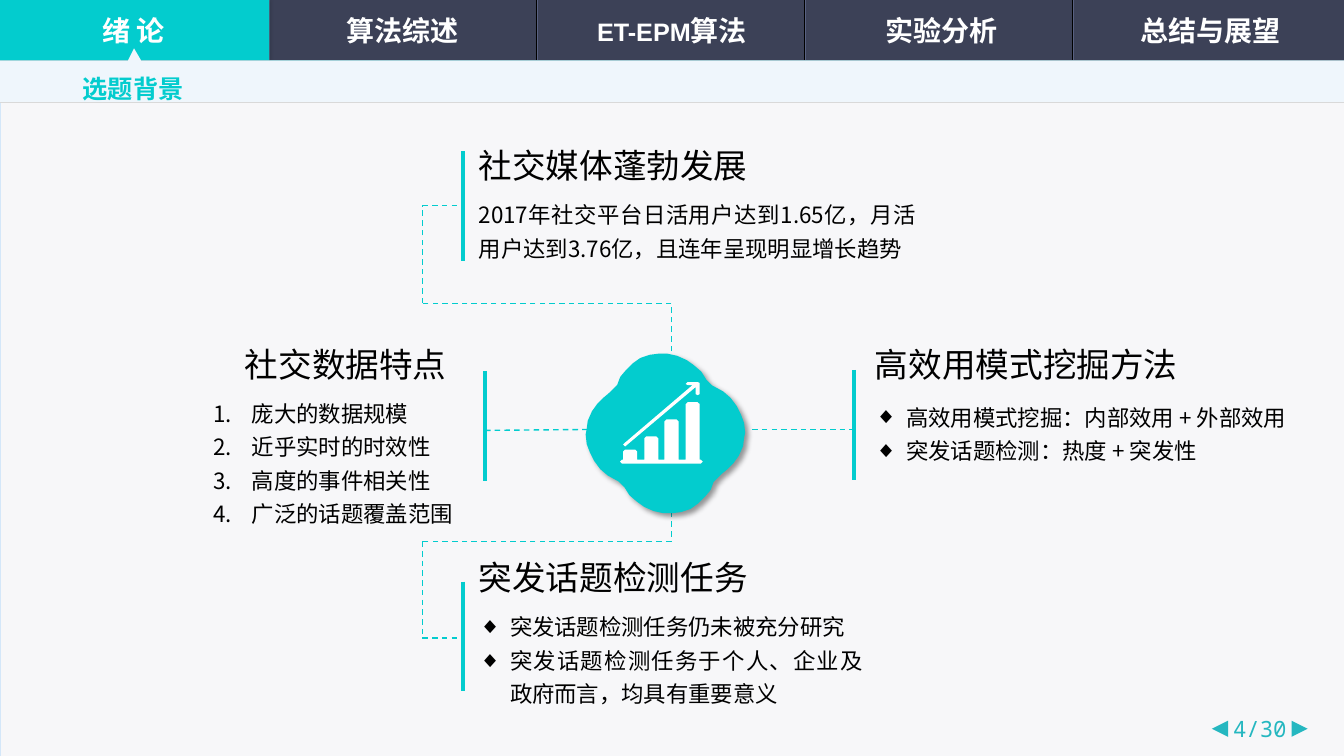
import math
from dataclasses import dataclass
from typing import Optional

from lxml import etree
from pptx import Presentation
from pptx.dml.color import RGBColor
from pptx.enum import dml, shapes, text
from pptx.oxml.ns import qn
from pptx.util import Inches, Pt


@dataclass(frozen=True)
class Theme:
    cyan: str = "03CCCE"
    slate: str = "3B445B"
    nav: str = "3C4157"
    groove: str = "596181"
    panel: str = "F7F7F9"
    panel_edge: str = "D4E7F9"
    strip: str = "EFF6FC"
    rule: str = "D9D9D9"
    pager: str = "25B7C0"
    white: str = "FFFFFF"
    black: str = "000000"
    cjk: str = "Noto Sans CJK SC"
    latin: str = "Arial"
    mono: str = "Noto Sans Mono"
    title: float = 24
    tab: float = 20
    section: float = 18
    body: float = 16


@dataclass(frozen=True)
class Style:
    size: float
    color: str
    font: str
    bold: bool = False


@dataclass(frozen=True)
class Topic:
    title: str
    title_box: tuple
    items: tuple
    body_box: tuple
    bar: tuple
    bullet: Optional[str] = None
    justified: bool = True


T = Theme()
TAB = Style(T.tab, T.white, T.cjk, True)
TAB_LATIN = Style(T.section, T.white, T.latin, True)
SECTION = Style(T.section, T.cyan, T.latin, True)
PAGER = Style(T.body, T.pager, T.mono)
TITLE = Style(T.title, T.black, T.cjk)
BODY = Style(T.body, T.black, T.cjk)
PADDED = dict(margin_left=Inches(0.13), margin_right=Inches(0.13),
              margin_top=Inches(0.07), margin_bottom=Inches(0.07))
CENTER = dict(alignment=text.PP_ALIGN.CENTER)
FIT = dict(auto_size=text.MSO_AUTO_SIZE.SHAPE_TO_FIT_TEXT)
MIDDLE = dict(vertical_anchor=text.MSO_ANCHOR.MIDDLE)

TABS = ((("绪 论", TAB),), (("算法综述", TAB),), (("ET-EPM", TAB_LATIN), ("算法", TAB)),
        (("实验分析", TAB),), (("总结与展望", TAB),))
TOPICS = (
    Topic("高效用模式挖掘方法", (8.58, 3.36, 3.44, 0.5),
          ("高效用模式挖掘：内部效用 + 外部效用", "突发话题检测：热度 + 突发性"),
          (8.58, 3.89, 4.54, 0.77), (8.47, 3.67), "◆"),
    Topic("社交媒体蓬勃发展", (4.65, 1.39, 3.04, 0.5),
          ("2017年社交平台日活用户达到1.65亿，月活用户达到3.76亿，且连年呈现明显增长趋势",),
          (4.65, 1.88, 4.53, 0.77), (4.59, 1.5)),
    Topic("突发话题检测任务", (4.65, 5.48, 2.91, 0.5),
          ("突发话题检测任务仍未被充分研究", "突发话题检测任务于个人、企业及政府而言，均具有重要意义"),
          (4.65, 5.97, 4.01, 1.11), (4.59, 5.77), "◆"),
    Topic("社交数据特点", (2.33, 3.36, 2.41, 0.5),
          ("庞大的数据规模", "近乎实时的时效性", "高度的事件相关性", "广泛的话题覆盖范围"),
          (2.02, 3.85, 2.73, 1.45), (4.81, 3.68), "1.", False),
)
HUB = (6.6, 4.3)
HUB_TURN = 310.2
HALF_CLOUD = (
    (6.99, 3.78), (6.94, 3.7), (6.87, 3.64), (6.8, 3.59), (6.71, 3.55), (6.62, 3.53),
    (6.53, 3.53), (6.45, 3.54), (6.36, 3.57), (6.29, 3.62), (6.22, 3.69), (6.17, 3.75),
    (6.14, 3.83), (6.06, 3.91), (6, 3.96), (5.94, 4.02), (5.89, 4.09), (5.85, 4.18),
    (5.84, 4.26), (5.83, 4.31), (5.84, 4.4), (5.87, 4.48), (5.91, 4.56), (5.97, 4.64),
    (6.04, 4.7), (6.15, 4.76))
BARS = ((6.18, 4.46), (6.39, 4.33), (6.59, 4.16), (6.8, 3.99))
GROWTH_ARROW = (
    (6.2, 4.43), (6.9, 3.84), (6.9, 3.91), (6.92, 3.92), (6.94, 3.91), (6.94, 3.8),
    (6.92, 3.79), (6.82, 3.79), (6.8, 3.81), (6.82, 3.82), (6.87, 3.82), (6.19, 4.4),
    (6.18, 4.41))


def assign(obj, values: dict) -> None:
    for name, value in values.items():
        setattr(obj, name, value)


def paint(sp, fill: Optional[str] = None, edge: Optional[str] = None, width: float = 0.5):
    sp.shadow.inherit = False
    for part, color in ((sp.fill, fill), (sp.line.fill, edge)):
        if color:
            part.solid()
            part.fore_color.rgb = RGBColor.from_string(color)
        else:
            part.background()
    if edge:
        sp.line.width = Pt(width)
    return sp


def cast_shadow(sp, alpha: int, blur: float, dist: float, angle: int) -> None:
    effects = sp._element.spPr.find(qn("a:effectLst"))
    shadow = etree.SubElement(effects, qn("a:outerShdw"), blurRad=str(Pt(blur)), dist=str(Pt(dist)),
                              dir=str(angle * 60000), algn="ctr", rotWithShape="0")
    color = etree.SubElement(shadow, qn("a:srgbClr"), val=T.black)
    etree.SubElement(color, qn("a:alpha"), val=str(alpha * 1000))


def shape(s, kind, box: tuple, fill: Optional[str] = None, edge: Optional[str] = None):
    return paint(s.shapes.add_shape(kind, *map(Inches, box)), fill, edge)


def line(s, start: tuple, end: tuple, color: str, width: float, dashed: bool = False) -> None:
    c = s.shapes.add_connector(shapes.MSO_CONNECTOR.STRAIGHT, *map(Inches, start + end))
    c.line.color.rgb = RGBColor.from_string(color)
    c.line.width = Pt(width)
    if dashed:
        c.line.dash_style = dml.MSO_LINE.DASH
    etree.SubElement(c._element.spPr, qn("a:effectLst"))


def outline(owner, points, fill: str, edge: Optional[str] = None, width: float = 0.5):
    first, *rest = [(Inches(x), Inches(y)) for x, y in points]
    builder = owner.shapes.build_freeform(*first)
    builder.add_line_segments(rest, close=True)
    return paint(builder.convert_to_shape(), fill, edge, width)


def add_bullet(p, mark: str, indent: float) -> None:
    pPr = p._p.get_or_add_pPr()
    pPr.set("marL", str(Inches(indent)))
    pPr.set("indent", str(-Inches(indent)))
    if mark == "1.":
        etree.SubElement(pPr, qn("a:buFont"), typeface=T.cjk)
        etree.SubElement(pPr, qn("a:buAutoNum"), type="arabicPeriod")
    else:
        etree.SubElement(pPr, qn("a:buFont"), typeface=T.latin)
        etree.SubElement(pPr, qn("a:buChar"), char=mark)


def write(sp, paragraphs, frame: dict, layout: dict, mark: Optional[str] = None,
          indent: float = 0.31) -> None:
    tf = sp.text_frame
    assign(tf, {"word_wrap": True, **frame})
    for i, runs in enumerate(paragraphs):
        p = tf.add_paragraph() if i else tf.paragraphs[0]
        if mark:
            add_bullet(p, mark, indent)
        assign(p, layout)
        for words, style in runs:
            r = p.add_run()
            r.text = words
            assign(r.font, dict(size=Pt(style.size), bold=style.bold, name=style.font))
            r.font.color.rgb = RGBColor.from_string(style.color)
            etree.SubElement(r._r.get_or_add_rPr(), qn("a:ea"), typeface=T.cjk)


def textbox(s, box: tuple, *args, **kwargs) -> None:
    write(s.shapes.add_textbox(*map(Inches, box)), *args, **kwargs)


def draw_navigation(s) -> None:
    rect = shapes.MSO_SHAPE.RECTANGLE
    shape(s, rect, (0, 0, 13.33, 0.6), T.nav)
    for i in range(1, len(TABS)):
        x = 2.66 * i
        line(s, (x, 0), (x, 0.6), T.black, 0.5)
        line(s, (x + 0.01, 0), (x + 0.01, 0.6), T.groove, 0.75)
    shape(s, rect, (0, 1.02, 13.33, 6.48), T.panel, T.panel_edge)
    cast_shadow(shape(s, rect, (0, 0, 2.67, 0.6), T.cyan), 20, 3, 0, 270)
    outline(s, ((1.33, 0.48), (1.4, 0.6), (13.33, 0.6), (13.33, 1.02), (0, 1.02),
                (0, 0.6), (1.27, 0.6)), T.strip)
    line(s, (0, 1.02), (13.33, 1.02), T.rule, 0.5)
    for i, runs in enumerate(TABS):
        tab = shape(s, shapes.MSO_SHAPE.ROUNDED_RECTANGLE, (2.67 * i, 0.1, 2.65, 0.41))
        tab.adjustments[0] = 0
        write(tab, [runs], {**PADDED, **MIDDLE}, CENTER)
    textbox(s, (12.07, 7.02, 0.85, 0.4), [[("4/30", PAGER)]],
            {**PADDED, **FIT, "word_wrap": False}, CENTER)
    for x, turn in ((12.81, 90), (12.02, 270)):
        shape(s, shapes.MSO_SHAPE.ISOSCELES_TRIANGLE, (x, 7.15, 0.16, 0.16), T.pager).rotation = turn
    textbox(s, (0.68, 0.53, 1.28, 0.54), [[("选题背景", SECTION)]],
            {**PADDED, **FIT, **MIDDLE, "word_wrap": False}, {**CENTER, "line_spacing": 1.5})


def draw_topic(s, topic: Topic) -> None:
    x, y = topic.bar
    line(s, (x, y), (x, y + 1.09), T.cyan, 3)
    textbox(s, topic.title_box, [[(topic.title, TITLE)]], FIT, {})
    align = text.PP_ALIGN.JUSTIFY if topic.justified else text.PP_ALIGN.LEFT
    textbox(s, topic.body_box, [[(item, BODY)] for item in topic.items], FIT,
            dict(alignment=align, line_spacing=1.25), topic.bullet, 0.31 if topic.justified else 0.38)


def draw_links(s) -> None:
    links = [((4.81, 4.27), (5.91, 4.26)), ((7.46, 4.26), (8.47, 4.26))]
    for turn_y, bar_y, hub_y in ((3.01, 2.04, 3.68), (5.37, 6.33, 4.69)):
        corners = ((6.66, hub_y), (6.66, turn_y), (4.19, turn_y), (4.19, bar_y), (4.59, bar_y))
        links += zip(corners, corners[1:])
    for start, end in links:
        line(s, start, end, T.cyan, 1, True)


def draw_hub(s) -> None:
    cx, cy = HUB
    cos, sin = math.cos(math.radians(-HUB_TURN)), math.sin(math.radians(-HUB_TURN))
    offsets = [(x - cx, y - cy) for x, y in HALF_CLOUD]
    offsets += [(-dx, -dy) for dx, dy in offsets]
    upright = [(cx + dx * cos - dy * sin, cy + dx * sin + dy * cos) for dx, dy in offsets]
    cloud = outline(s, upright, T.cyan, T.cyan, 3)
    cloud.rotation = HUB_TURN
    cast_shadow(cloud, 40, 4, 3, 45)
    icon = s.shapes.add_group_shape()
    chart = [(6.15, 4.58), (6.17, 4.56)]
    for x, top in BARS:
        chart += [(x, 4.56), (x, top + 0.02), (x + 0.02, top), (x + 0.12, top),
                  (x + 0.14, top + 0.02), (x + 0.14, 4.56)]
    chart += [(6.95, 4.56), (6.97, 4.58), (6.95, 4.6), (6.17, 4.6)]
    for points in (chart, GROWTH_ARROW):
        outline(icon, points, T.white)


def main() -> None:
    prs = Presentation()
    assign(prs, dict(slide_width=Inches(13.33), slide_height=Inches(7.5)))
    s = prs.slides.add_slide(prs.slide_layouts[6])
    fill = s.background.fill
    fill.gradient()
    fill.gradient_angle = 315
    for stop, color in zip(fill.gradient_stops, (T.cyan, T.slate)):
        stop.color.rgb = RGBColor.from_string(color)
    draw_navigation(s)
    draw_links(s)
    draw_hub(s)
    for topic in TOPICS:
        draw_topic(s, topic)
    prs.save("out.pptx")


if __name__ == "__main__":
    main()
